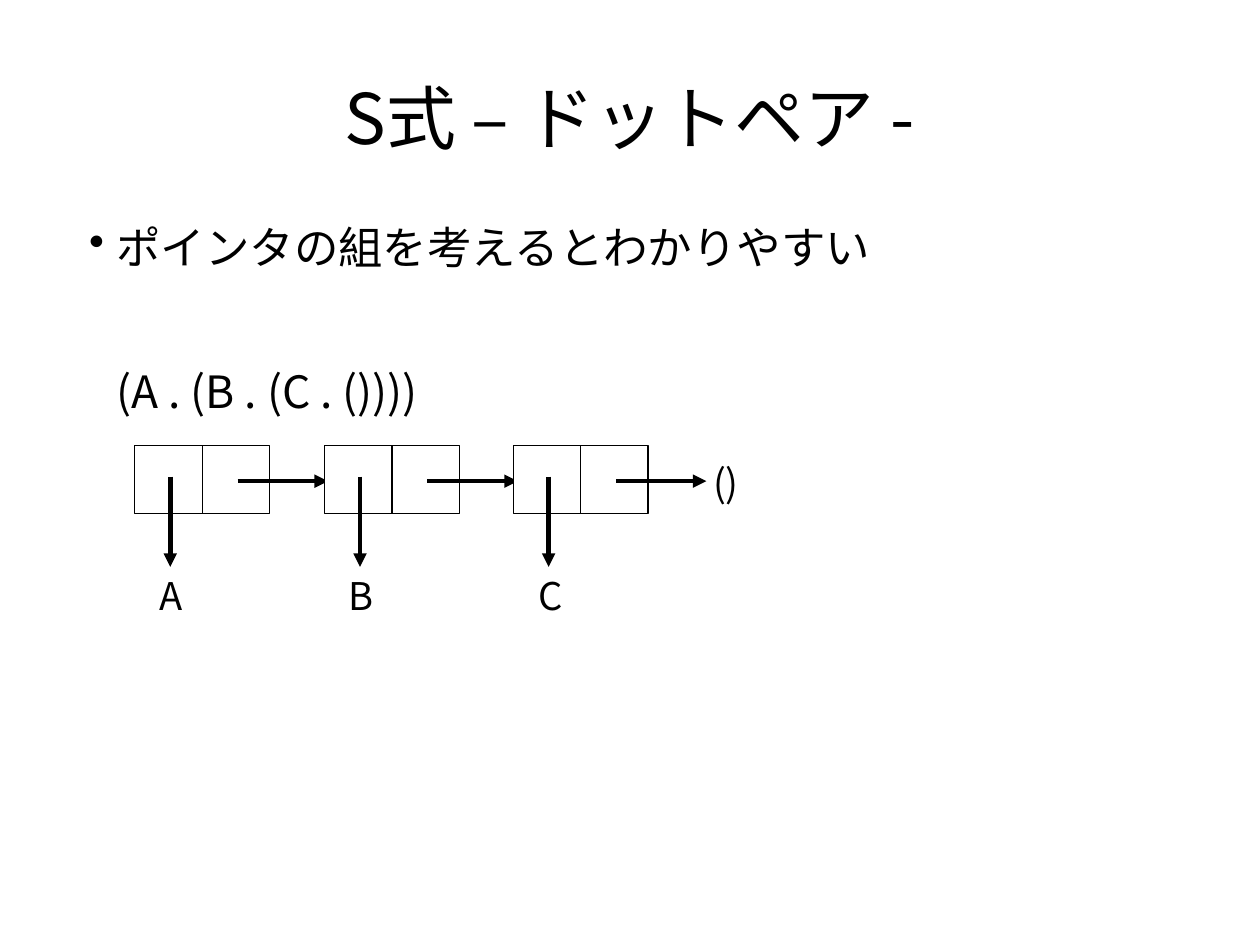
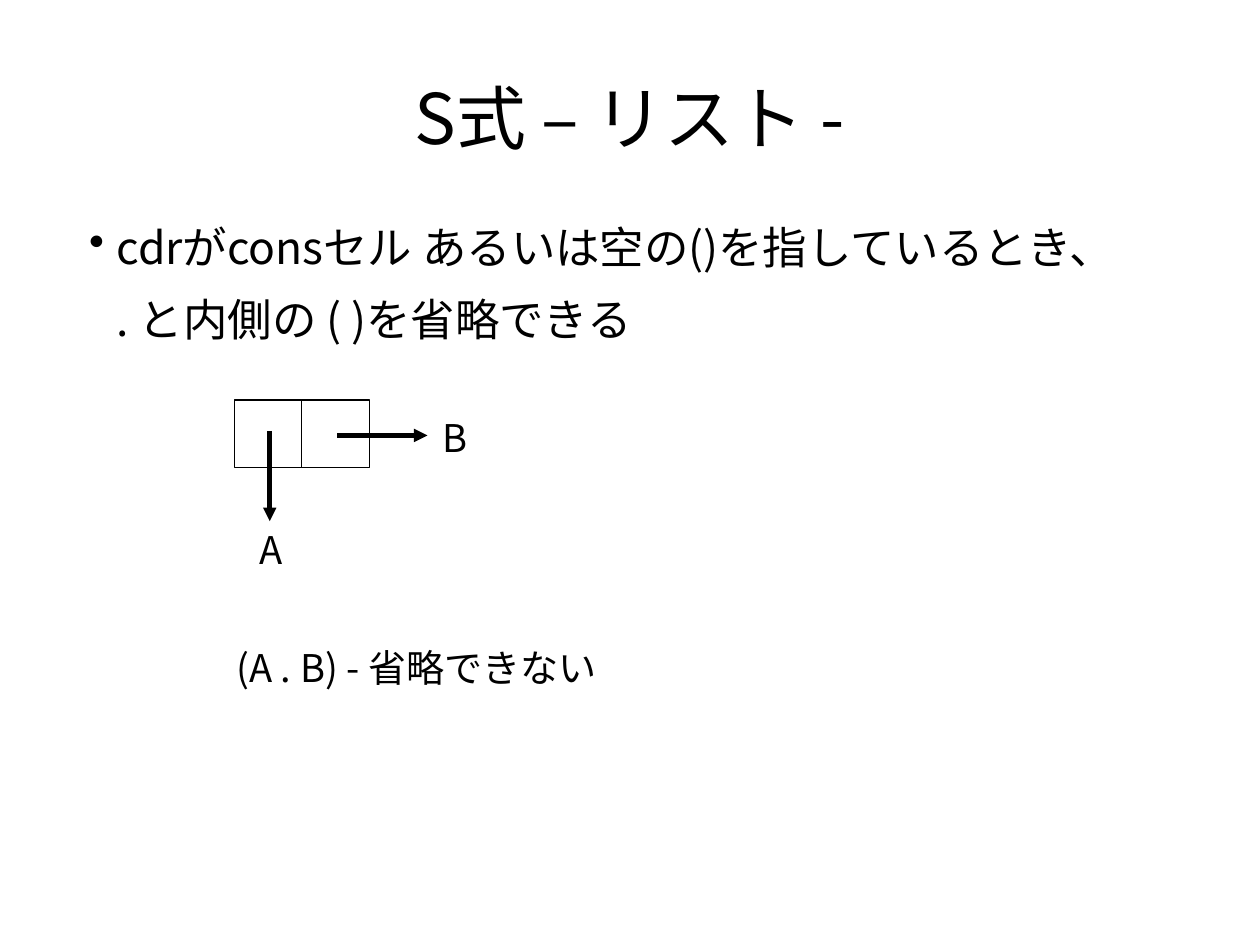
from lxml import etree
from pptx import Presentation
from pptx.dml.color import RGBColor
from pptx.enum.shapes import MSO_CONNECTOR, MSO_SHAPE
from pptx.enum.text import MSO_ANCHOR, PP_ALIGN
from pptx.oxml.ns import qn
from pptx.util import Inches, Pt

RECTANGLE = MSO_SHAPE.RECTANGLE
STRAIGHT = MSO_CONNECTOR.STRAIGHT
MIDDLE = MSO_ANCHOR.MIDDLE
CENTER = PP_ALIGN.CENTER

FONT = "Noto Sans CJK JP"
BLACK, WHITE = "000000", "FFFFFF"
CELL = 0.59
ARROW = 0.79

SLIDES = [
    {
        "title": "S式 – ドットペア -",
        # text, space before in points
        "body": [("ポインタの組を考えるとわかりやすい", 0), ("(A . (B . (C . ())))", 45.5)],
        "cells": [(left, 3.9) for left in (1.18, 2.84, 4.49)],
        "labels": [("A", 1.3, 4.96, 0.43), ("B", 2.95, 4.96, 0.42),
                   ("C", 4.61, 4.96, 0.4), ("()", 6.14, 3.97, 0.53)],
    },
    {
        "title": "S式 – リスト -",
        "body": [("cdrがconsセル あるいは空の()を指しているとき、", 0),
                 (". と内側の ( )を省略できる", 0)],
        "cells": [(2.05, 3.5)],
        "labels": [("A", 2.17, 4.56, 0.43), ("B", 3.77, 3.58, 0.42),
                   ("(A . B) - 省略できない", 1.97, 5.59, 3.86)],
    },
]


def color(value):
    return RGBColor.from_string(value)


def style_runs(paragraph, size):
    """Give every run the deck's font, for Latin and Japanese text alike."""
    for run in paragraph.runs:
        run.font.size = Pt(size)
        run.font.name = FONT
        run.font.color.rgb = color(BLACK)
        east_asian = etree.SubElement(run._r.get_or_add_rPr(), qn("a:ea"))
        east_asian.set("typeface", FONT)


prs = Presentation()
prs.slide_width = Inches(11.024)
prs.slide_height = Inches(8.268)

for content in SLIDES:
    slide = prs.slides.add_slide(prs.slide_layouts[5])
    slide.background.fill.solid()
    slide.background.fill.fore_color.rgb = color(WHITE)

    title = slide.shapes.title
    title.left, title.top = Inches(0.55), Inches(0.38)
    title.width, title.height = Inches(9.92), Inches(1.28)
    title.text_frame.text = content["title"]
    title.text_frame.vertical_anchor = MIDDLE
    title.text_frame.paragraphs[0].alignment = CENTER
    style_runs(title.text_frame.paragraphs[0], 44)

    body = slide.shapes.add_textbox(Inches(0.55), Inches(1.93), Inches(9.92), Inches(5.46))
    body.text_frame.word_wrap = True
    for frame in (title.text_frame, body.text_frame):
        frame.margin_left = frame.margin_right = 0
        frame.margin_top = frame.margin_bottom = 0
    body.text_frame.text = "\n".join(text for text, _ in content["body"])
    for i, (paragraph, (_, before)) in enumerate(zip(body.text_frame.paragraphs, content["body"])):
        paragraph.space_before = Pt(before)
        paragraph.space_after = Pt(11.3)
        properties = paragraph._p.get_or_add_pPr()
        properties.set("marL", str(Inches(0.47)))
        properties.set("indent", str(0 if i else Inches(-0.24)))
        if i == 0:
            etree.SubElement(properties, qn("a:buChar")).set("char", "•")
        else:
            etree.SubElement(properties, qn("a:buNone"))
        style_runs(paragraph, 28)

    for left, top in content["cells"]:
        for half in range(2):
            box = slide.shapes.add_shape(RECTANGLE, Inches(left + half * CELL), Inches(top),
                                         Inches(CELL), Inches(CELL))
            box.shadow.inherit = False
            box.fill.solid()
            box.fill.fore_color.rgb = color(WHITE)
            box.line.color.rgb = color(BLACK)
            box.line.width = Pt(0)
        car_x, car_y = left + 0.31, top + 0.27
        cdr_x, cdr_y = left + 0.9, top + 0.31
        for x1, y1, x2, y2 in [(car_x, car_y, car_x, car_y + ARROW),
                               (cdr_x, cdr_y, cdr_x + ARROW, cdr_y)]:
            pointer = slide.shapes.add_connector(STRAIGHT, Inches(x1), Inches(y1),
                                                 Inches(x2), Inches(y2))
            pointer.line.color.rgb = color(BLACK)
            pointer.line.width = Pt(2.83)
            etree.SubElement(pointer.line._get_or_add_ln(), qn("a:tailEnd")).set("type", "triangle")
            etree.SubElement(pointer._element.spPr, qn("a:effectLst"))

    for text, left, top, width in content["labels"]:
        label = slide.shapes.add_textbox(Inches(left), Inches(top), Inches(width), Inches(0.55))
        label.text_frame.word_wrap = False
        label.text_frame.text = text
        style_runs(label.text_frame.paragraphs[0], 24)

prs.save("out.pptx")
